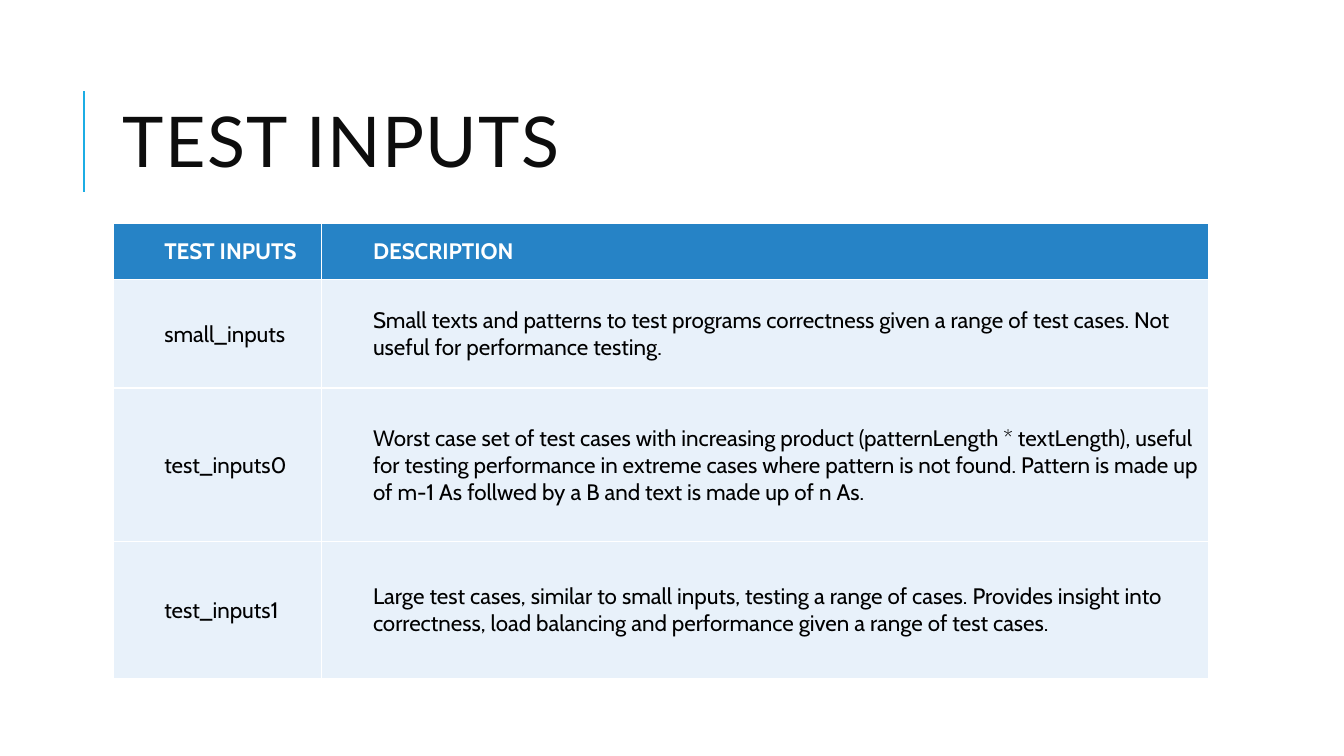
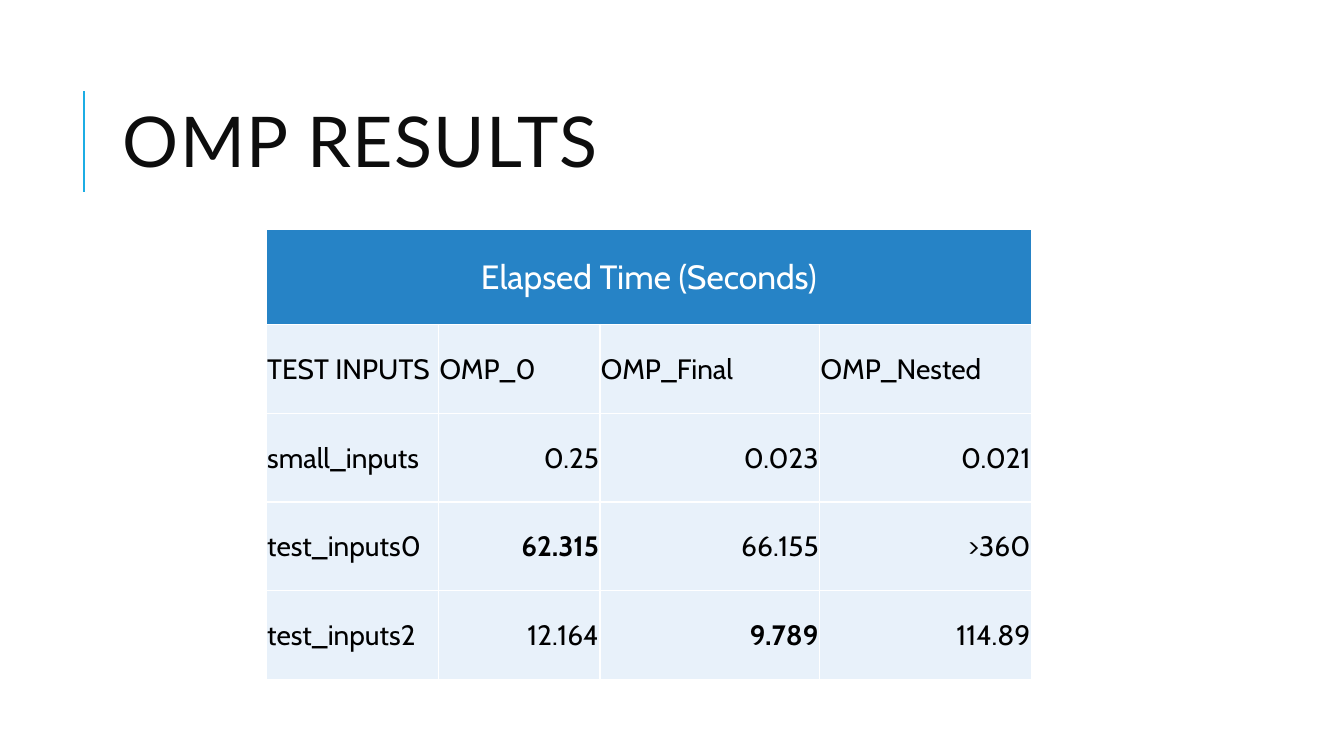
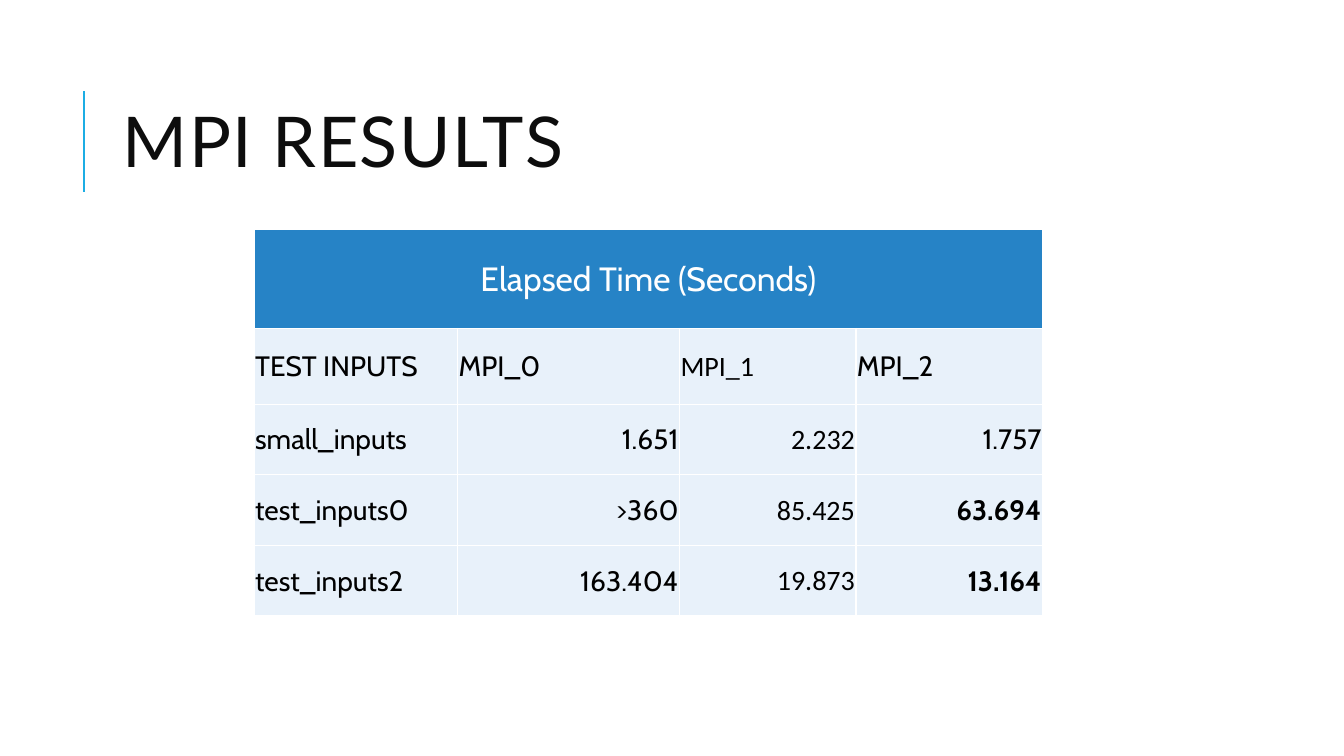
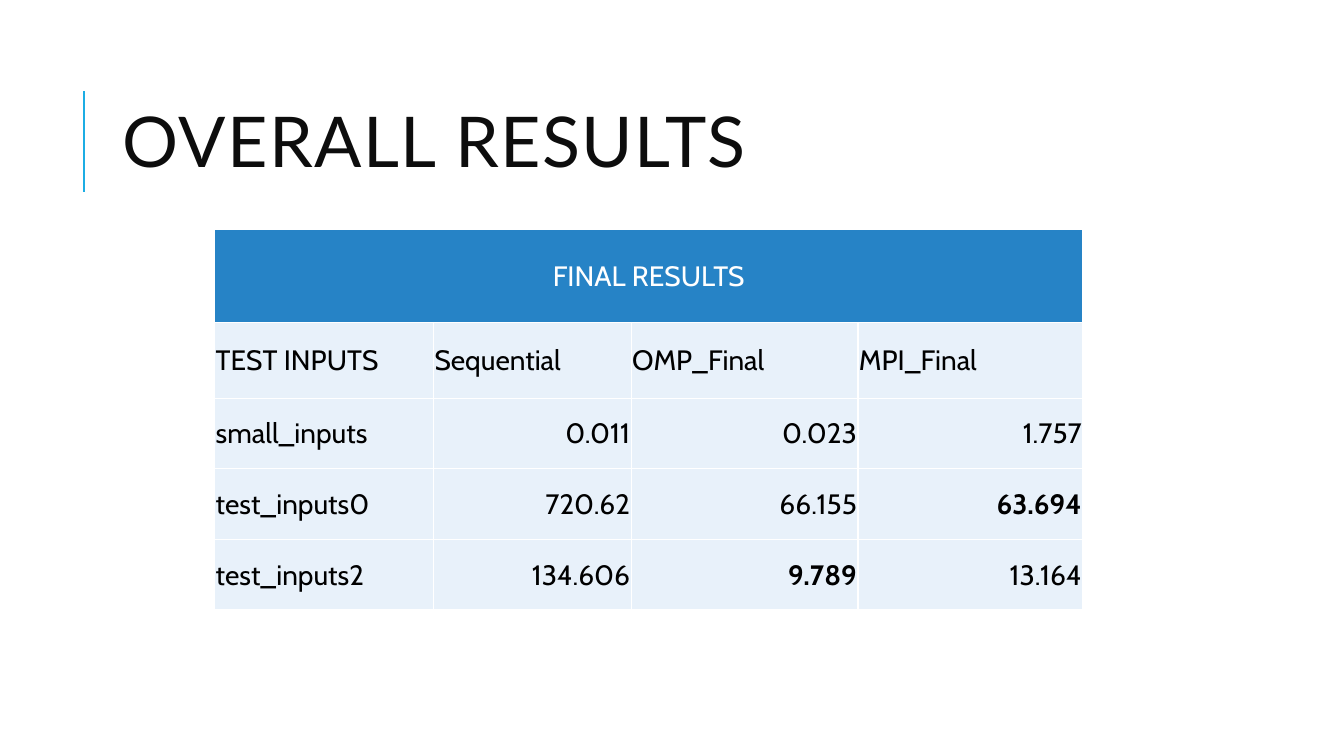
from lxml.etree import SubElement
from pptx import Presentation
from pptx.dml.color import RGBColor
from pptx.enum.shapes import MSO_CONNECTOR
from pptx.enum.text import MSO_ANCHOR, PP_ALIGN
from pptx.oxml import parse_xml
from pptx.oxml.ns import nsdecls, qn
from pptx.util import Inches, Pt

# Shared colours and fonts
ACCENT, HEADER, BODY = "1CADE4", "2683C6", "E8F1FA"
WHITE, BLACK, TITLE = "FFFFFF", "000000", "0D0D0D"
TITLE_FONT, TABLE_FONT, ALTERNATE_FONT = "Lato", "Cabin", "Calibri"


def color(value):
    return RGBColor.from_string(value)


def write(text_frame, text, size, font=TABLE_FONT, fill=BLACK, bold=False,
          align=PP_ALIGN.LEFT, indent=0, line_spacing=None, tracking=None):
    paragraph = text_frame.paragraphs[0]
    paragraph.alignment = align
    paragraph.line_spacing = line_spacing
    if indent:
        properties = paragraph._p.get_or_add_pPr()
        properties.set("marL", str(Inches(indent)))
        properties.set("indent", "0")
    run = paragraph.add_run()
    run.text = text
    run.font.size = Pt(size)
    run.font.name = font
    run.font.bold = bold
    run.font.color.rgb = color(fill)
    if tracking:
        run._r.get_or_add_rPr().set("spc", str(tracking * 100))


# Slide contents; a row with one text spans the table
pages = [
    dict(
        title="TEST INPUTS", left=1.12, top=2.22, size=16, header_size=16,
        columns=[2.07, 8.8], heights=[0.55, 1.08, 1.52, 1.36],
        indent=0.5, bold=["TEST INPUTS", "DESCRIPTION"],
        rows=[
            ["TEST INPUTS", "DESCRIPTION"],
            ["small_inputs",
             "Small texts and patterns to test programs correctness given a "
             "range of test cases. Not useful for performance testing."],
            ["test_inputs0",
             "Worst case set of test cases with increasing product "
             "(patternLength * textLength), useful for testing performance in "
             "extreme cases where pattern is not found. Pattern is made up of "
             "m-1 As follwed by a B and text is made up of n As."],
            ["test_inputs1",
             "Large test cases, similar to small inputs, testing a range of "
             "cases. Provides insight into correctness, load balancing and "
             "performance given a range of test cases."],
        ]),
    dict(
        title="OMP RESULTS", left=2.64, top=2.28, size=20, header_size=24,
        columns=[1.71, 1.6, 2.18, 2.1], heights=[0.94] + [0.88] * 4,
        bold=["62.315", "9.789"],
        rows=[
            ["Elapsed Time (Seconds)"],
            ["TEST INPUTS", "OMP_0", "OMP_Final", "OMP_Nested"],
            ["small_inputs", "0.25", "0.023", "0.021"],
            ["test_inputs0", "62.315", "66.155", ">360"],
            ["test_inputs2", "12.164", "9.789", "114.89"],
        ]),
    dict(
        title="MPI RESULTS", left=2.52, top=2.28, size=20, header_size=24,
        columns=[2.02, 2.2, 1.75, 1.85], heights=[0.98, 0.75] + [0.7] * 3,
        bold=["63.694", "13.164"], alternate_column=2,
        rows=[
            ["Elapsed Time (Seconds)"],
            ["TEST INPUTS", "MPI_0", "MPI_1", "MPI_2"],
            ["small_inputs", "1.651", "2.232", "1.757"],
            ["test_inputs0", ">360", "85.425", "63.694"],
            ["test_inputs2", "163.404", "19.873", "13.164"],
        ]),
    dict(
        title="OVERALL RESULTS", left=2.13, top=2.28, size=20, header_size=20,
        columns=[2.17, 1.96, 2.25, 2.23], heights=[0.92, 0.75] + [0.7] * 3,
        bold=["63.694", "9.789"],
        rows=[
            ["FINAL RESULTS"],
            ["TEST INPUTS", "Sequential", "OMP_Final", "MPI_Final"],
            ["small_inputs", "0.011", "0.023", "1.757"],
            ["test_inputs0", "720.62", "66.155", "63.694"],
            ["test_inputs2", "134.606", "9.789", "13.164"],
        ]),
]

presentation = Presentation()
presentation.slide_width = Inches(13.33)
presentation.slide_height = Inches(7.5)

for page in pages:
    slide = presentation.slides.add_slide(presentation.slide_layouts[6])

    # Accent line beside the title
    accent = slide.shapes.add_connector(
        MSO_CONNECTOR.STRAIGHT, Inches(0.83), Inches(1.9), Inches(0.83), Inches(0.9))
    accent.line.color.rgb = color(ACCENT)
    accent.line.width = Pt(1.5)
    SubElement(accent._element.spPr, qn("a:effectLst"))

    # Title
    title = slide.shapes.add_textbox(Inches(1.12), Inches(0.64), Inches(10.63), Inches(1.64))
    title.text_frame.word_wrap = True
    title.text_frame.vertical_anchor = MSO_ANCHOR.MIDDLE
    write(title.text_frame, page["title"], 50, font=TITLE_FONT, fill=TITLE,
          line_spacing=0.8, tracking=1)

    # Table grid
    columns, heights, rows = page["columns"], page["heights"], page["rows"]
    table = slide.shapes.add_table(
        len(rows), len(columns), Inches(page["left"]), Inches(page["top"]),
        Inches(sum(columns)), Inches(sum(heights))).table
    for column, width in zip(table.columns, columns):
        column.width = Inches(width)
    for row, height in zip(table.rows, heights):
        row.height = Inches(height)
    has_banner = len(rows[0]) == 1
    if has_banner:
        table.cell(0, 0).merge(table.cell(0, len(columns) - 1))

    # Cell borders, fills and margins
    for row_index, row in enumerate(table.rows):
        for cell in row.cells:
            cell.margin_left = cell.margin_right = cell.margin_top = Inches(0.01)
            cell.margin_bottom = 0
            cell.vertical_anchor = MSO_ANCHOR.MIDDLE
            for side in ("lnL", "lnR", "lnT", "lnB"):
                cell._tc.get_or_add_tcPr().append(parse_xml(
                    f'<a:{side} {nsdecls("a")} w="{Pt(1)}"><a:solidFill>'
                    f'<a:srgbClr val="{WHITE}"/></a:solidFill></a:{side}>'))
            cell.fill.solid()
            cell.fill.fore_color.rgb = color(BODY if row_index else HEADER)

    # Cell text: banner centred, figures to the right
    for row_index, texts in enumerate(rows):
        is_header = row_index == 0
        for column_index, text in enumerate(texts):
            align = PP_ALIGN.LEFT
            if has_banner and is_header:
                align = PP_ALIGN.CENTER
            elif has_banner and row_index > 1 and column_index > 0:
                align = PP_ALIGN.RIGHT
            alternate = column_index == page.get("alternate_column")
            write(table.cell(row_index, column_index).text_frame, text,
                  page["header_size"] if is_header else page["size"],
                  font=ALTERNATE_FONT if alternate else TABLE_FONT,
                  fill=WHITE if is_header else BLACK,
                  bold=text in page["bold"], align=align,
                  indent=page.get("indent", 0))

presentation.save("out.pptx")
